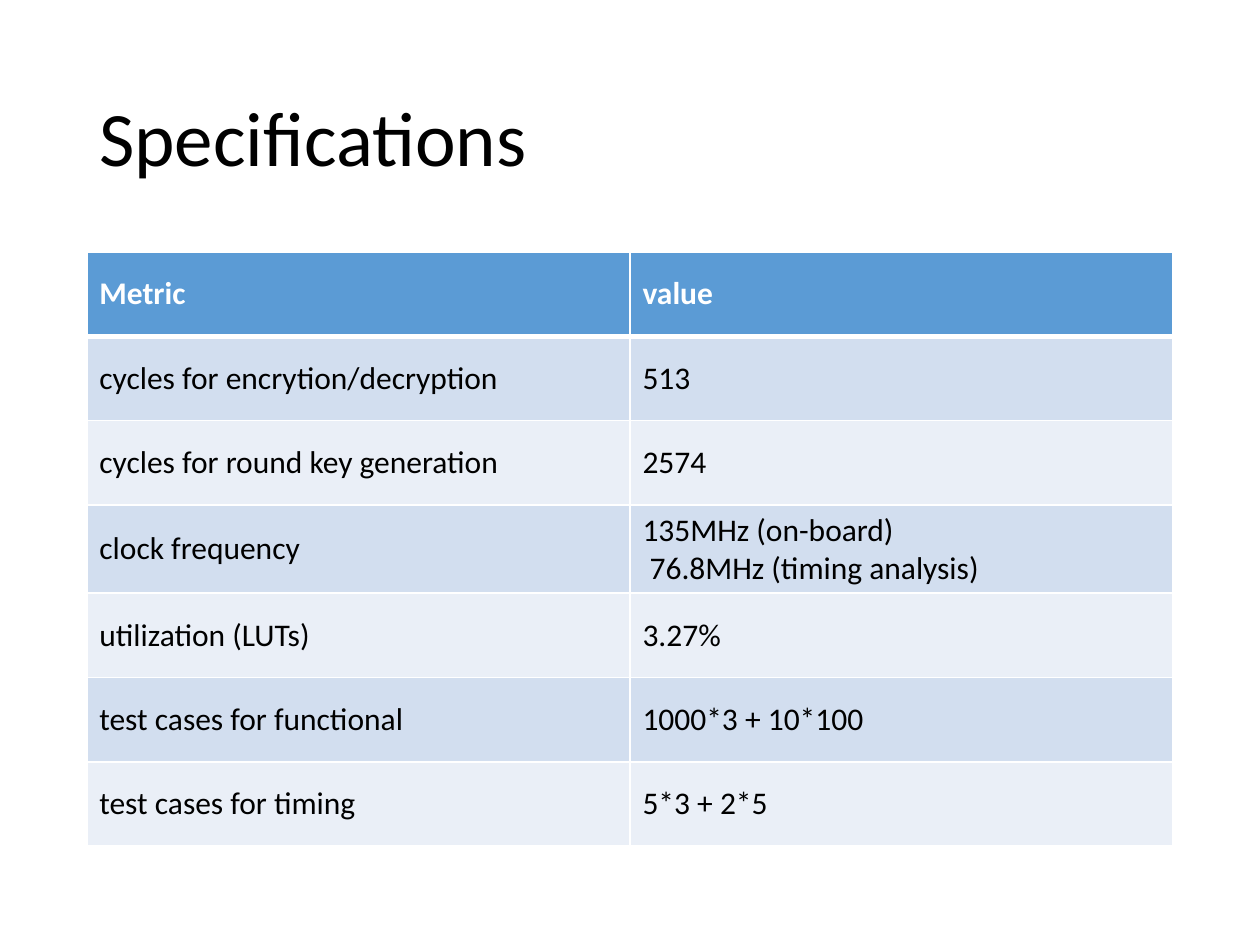
from lxml.etree import SubElement
from pptx import Presentation
from pptx.dml.color import RGBColor
from pptx.enum.text import MSO_ANCHOR
from pptx.oxml.ns import qn
from pptx.util import Cm, Pt

BLACK = RGBColor(0x00, 0x00, 0x00)
WHITE = RGBColor(0xFF, 0xFF, 0xFF)
HEADER_BLUE = RGBColor(0x5B, 0x9B, 0xD5)
BAND_DARK = RGBColor(0xD2, 0xDE, 0xEF)
BAND_LIGHT = RGBColor(0xEA, 0xEF, 0xF7)

SPECIFICATIONS = [
    ("Metric", "value"),
    ("cycles for encrytion/decryption", "513"),
    ("cycles for round key generation", "2574"),
    ("clock frequency", "135MHz (on-board)\n 76.8MHz (timing analysis)"),
    ("utilization (LUTs)", "3.27%"),
    ("test cases for functional", "1000*3 + 10*100"),
    ("test cases for timing", "5*3 + 2*5"),
]


class SlideBuilder:
    font_name = "Calibri"
    left = Cm(1.75)
    width = Cm(21.9)

    def __init__(self, slide):
        self.slide = slide

    def set_text(self, frame, text, size, color, bold=False):
        frame.text = text
        font_format = {"name": self.font_name, "size": Pt(size), "bold": bold}
        for para in frame.paragraphs:
            for span in para.runs:
                for name, value in font_format.items():
                    setattr(span.font, name, value)
                span.font.color.rgb = color

    def title(self, text, top, height):
        box = self.slide.shapes.add_textbox(self.left, top, self.width, height)
        frame = box.text_frame
        frame.word_wrap = True
        frame.vertical_anchor = MSO_ANCHOR.MIDDLE
        self.set_text(frame, text, 44, BLACK)
        frame.paragraphs[0].line_spacing = 0.9

    def borders(self, cell, widths):
        """Draw white cell edges; widths maps an edge tag to points."""
        properties = cell._tc.get_or_add_tcPr()
        for tag, width in widths.items():
            line = SubElement(properties, qn(f"a:{tag}"), w=str(Pt(width)))
            fill = SubElement(line, qn("a:solidFill"))
            SubElement(fill, qn("a:srgbClr"), val=str(WHITE))

    def table(self, rows, top, row_height):
        column_count = len(rows[0])
        table = self.slide.shapes.add_table(
            len(rows), column_count, self.left, top,
            self.width, row_height * len(rows)).table
        for row_index, texts in enumerate(rows):
            header = row_index == 0
            band = BAND_DARK if row_index % 2 else BAND_LIGHT
            widths = {"lnL": 1, "lnR": 1,
                      "lnT": 3 if row_index == 1 else 1,
                      "lnB": 3 if header else 1}
            for column_index, text in enumerate(texts):
                cell = table.cell(row_index, column_index)
                cell.vertical_anchor = MSO_ANCHOR.MIDDLE
                self.borders(cell, widths)
                cell.fill.solid()
                cell.fill.fore_color.rgb = HEADER_BLUE if header else band
                self.set_text(cell.text_frame, text, 18,
                              WHITE if header else BLACK, bold=header)


def main():
    deck = Presentation()
    deck.slide_width, deck.slide_height = Cm(25.4), Cm(19.05)
    page = SlideBuilder(deck.slides.add_slide(deck.slide_layouts[6]))
    page.title("Specifications", Cm(1.01), Cm(3.68))
    page.table(SPECIFICATIONS, Cm(5.08), Cm(1.7))
    deck.save("out.pptx")


if __name__ == "__main__":
    main()
